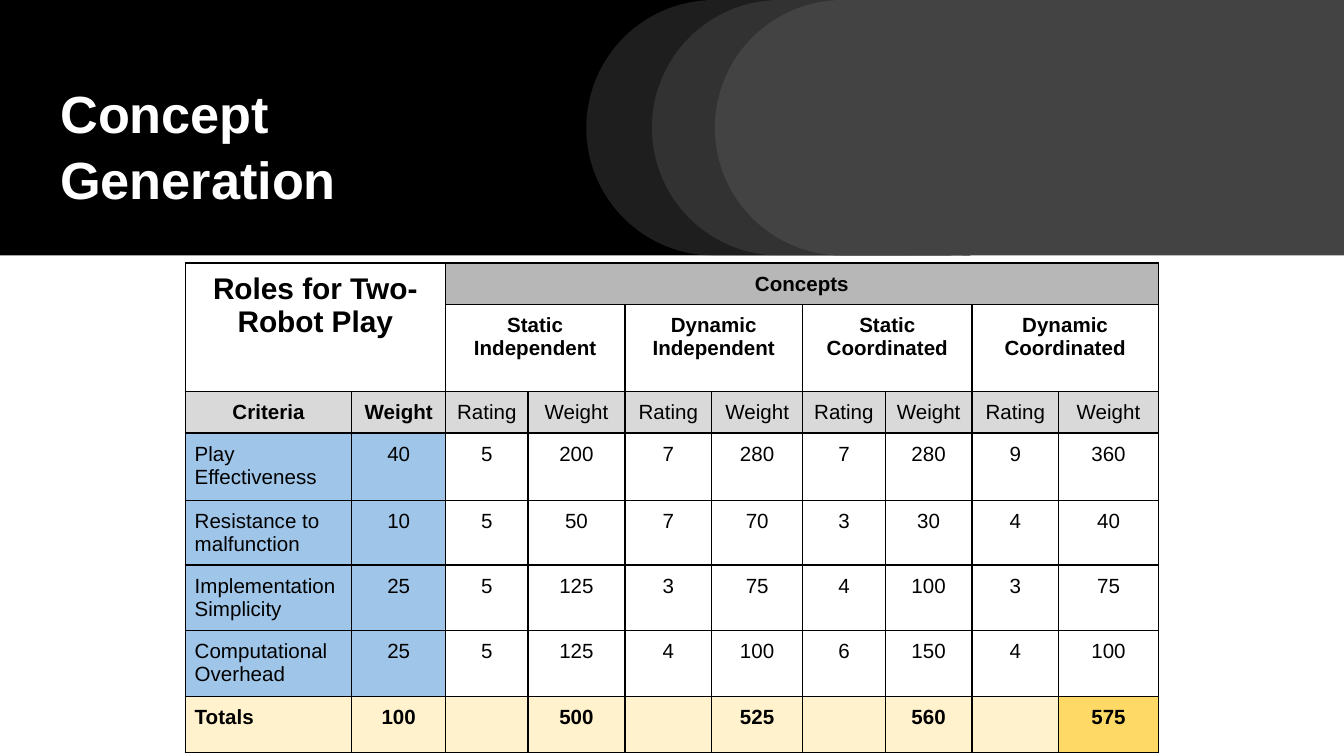
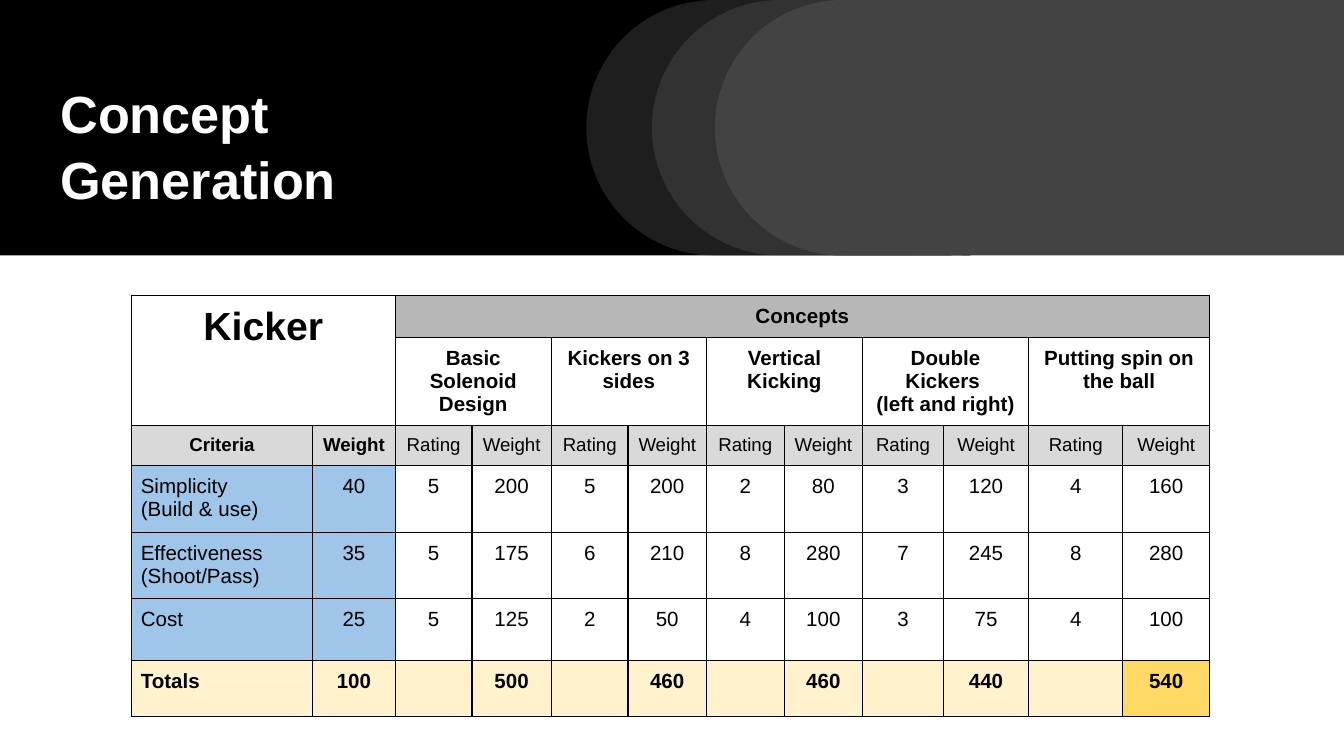
from dataclasses import dataclass

from lxml import etree
from pptx import Presentation
from pptx.dml.color import RGBColor
from pptx.enum.shapes import MSO_SHAPE
from pptx.enum.text import MSO_ANCHOR, MSO_AUTO_SIZE, PP_ALIGN
from pptx.oxml.ns import qn
from pptx.util import Cm, Pt

RECT, DELAY = MSO_SHAPE.RECTANGLE, MSO_SHAPE.FLOWCHART_DELAY
LEFT, CENTER = PP_ALIGN.LEFT, PP_ALIGN.CENTER

# Content: ratings follow the order of the concepts; "\v" is a line break
TITLE = "Concept Generation"
MATRICES = [
    {
        "heading": "Roles for Two-Robot Play",
        "heading_size": 16,
        "label_size": 11,
        "concepts": ["Static Independent", "Dynamic\nIndependent",
                     "Static\nCoordinated", "Dynamic\nCoordinated"],
        "criteria": [
            ("Play Effectiveness", 40, [5, 7, 7, 9]),
            ("Resistance to malfunction", 10, [5, 7, 3, 4]),
            ("Implementation Simplicity", 25, [5, 3, 4, 3]),
            ("Computational Overhead", 25, [5, 4, 6, 4]),
        ],
        "at": (3.5, 4.97),
        "columns": [3.15, 1.77, 1.56, 1.83, 1.64, 1.72, 1.56, 1.64, 1.64, 1.88],
        "rows": [0.78, 1.63, 0.78, 1.27, 1.22, 1.24, 1.24, 1.06],
    },
    {
        "heading": "Kicker",
        "heading_size": 21,
        "label_size": 10,
        "concepts": ["Basic Solenoid\nDesign", "Kickers on 3 sides",
                     "Vertical Kicking", "Double Kickers \v(left and right)",
                     "Putting spin on the ball"],
        "criteria": [
            ("Simplicity \v(Build & use)", 40, [5, 5, 2, 3, 4]),
            ("Effectiveness\v(Shoot/Pass)", 35, [5, 6, 8, 7, 8]),
            ("Cost", 25, [5, 2, 4, 3, 4]),
        ],
        "at": (2.48, 5.59),
        "columns": [3.43, 1.56, 1.45, 1.5, 1.45, 1.48, 1.47, 1.48, 1.53, 1.61,
                    1.78, 1.64],
        "rows": [0.78, 1.64, 0.76, 1.27, 1.25, 1.17, 1.06],
    },
]


@dataclass(frozen=True)
class Theme:
    font: str = "Arial"
    ink: str = "000000"
    paper: str = "FFFFFF"
    band: str = "434343"
    band_light: str = "666666"
    concepts: str = "B7B7B7"
    labels: str = "D9D9D9"
    criteria: str = "9FC5E8"
    totals: str = "FFF2CC"
    best: str = "FFD966"
    title_size: float = 28
    body_size: float = 11
    border: float = 0.75


THEME = Theme()

# Header band: shape, left, width, colour, opacity in percent
BAND_HEIGHT = 4.83
BAND = [
    (RECT, 0, 17.98, THEME.ink, 100),
    (DELAY, 11.08, BAND_HEIGHT, THEME.band, 45),
    (DELAY, 12.32, BAND_HEIGHT, THEME.band_light, 28),
    (DELAY, 13.51, BAND_HEIGHT, THEME.band, 100),
    (RECT, 18.18, 7.22, THEME.band, 100),
]


def apply(target, values):
    for name, value in values.items():
        setattr(target, name, value)


def format_text(frame, align, size, color, bold, spacing=1.0):
    for paragraph in frame.paragraphs:
        apply(paragraph, {"alignment": align, "line_spacing": spacing})
        for run in paragraph.runs:
            apply(run.font, {"name": THEME.font, "size": Pt(size), "bold": bold})
            run.font.color.rgb = RGBColor.from_string(color)


def add_band(layout, slide):
    """Draw the band and place it on the layout, behind its title."""
    for depth, (kind, left, width, color, opacity) in enumerate(BAND):
        part = slide.shapes.add_shape(kind, Cm(left), 0, Cm(width), Cm(BAND_HEIGHT))
        part.rotation = 180 if kind == DELAY else 0
        part.shadow.inherit = False
        part.line.fill.background()
        part.fill.solid()
        part.fill.fore_color.rgb = RGBColor.from_string(color)
        if opacity < 100:
            tint = part.element.spPr.find(f"{qn('a:solidFill')}/{qn('a:srgbClr')}")
            etree.SubElement(tint, qn("a:alpha"), val=str(opacity * 1000))
        layout.shapes.element.insert(2 + depth, part.element)


def add_title(slide):
    title = slide.shapes.title
    apply(title, {"left": Cm(0.89), "top": Cm(0.41),
                  "width": Cm(9.88), "height": Cm(3.81)})
    frame = title.text_frame
    frame.text = TITLE
    margins = dict.fromkeys(
        ("margin_left", "margin_right", "margin_top", "margin_bottom"), Cm(0.25))
    apply(frame, {"word_wrap": True, "auto_size": MSO_AUTO_SIZE.NONE,
                  "vertical_anchor": MSO_ANCHOR.BOTTOM, **margins})
    format_text(frame, LEFT, THEME.title_size, THEME.paper, True, 1.05)


def add_borders(cell):
    properties = cell._tc.get_or_add_tcPr()
    for order, side in enumerate(("lnL", "lnR", "lnT", "lnB")):
        line = etree.Element(qn(f"a:{side}"), w=str(Pt(THEME.border)))
        paint = etree.SubElement(line, qn("a:solidFill"))
        etree.SubElement(paint, qn("a:srgbClr"), val=THEME.ink)
        properties.insert(order, line)


def write(cell, text, fill=None, bold=False, align=CENTER, size=THEME.body_size):
    if fill:
        cell.fill.solid()
        cell.fill.fore_color.rgb = RGBColor.from_string(fill)
    if text != "":
        cell.text = str(text)
        apply(cell, dict.fromkeys(
            ("margin_left", "margin_right", "margin_top", "margin_bottom"), Cm(0.18)))
        format_text(cell.text_frame, align, size, THEME.ink, bold)


def add_matrix(slide, matrix):
    widths, heights = matrix["columns"], matrix["rows"]
    left, top = matrix["at"]
    table = slide.shapes.add_table(
        len(heights), len(widths), Cm(left), Cm(top),
        Cm(sum(widths)), Cm(sum(heights))).table
    apply(table, {"first_row": False, "horz_banding": False})
    for column, width in zip(table.columns, widths):
        column.width = Cm(width)
    for row, height in zip(table.rows, heights):
        row.height = Cm(height)
    for cell in table.iter_cells():
        cell.fill.background()
        add_borders(cell)

    # Headings
    concepts, criteria = matrix["concepts"], matrix["criteria"]
    table.cell(0, 0).merge(table.cell(1, 1))
    write(table.cell(0, 0), matrix["heading"], bold=True, size=matrix["heading_size"])
    table.cell(0, 2).merge(table.cell(0, len(widths) - 1))
    write(table.cell(0, 2), "Concepts", THEME.concepts, bold=True)
    for index, concept in enumerate(concepts):
        column = 2 + 2 * index
        table.cell(1, column).merge(table.cell(1, column + 1))
        write(table.cell(1, column), concept, bold=True)
    labels = ["Criteria", "Weight"] + ["Rating", "Weight"] * len(concepts)
    for column, label in enumerate(labels):
        write(table.cell(2, column), label, THEME.labels, bold=column < 2,
              size=matrix["label_size"])

    # Criteria: each weighted score is weight times rating
    totals = [0] * len(concepts)
    for row, (criterion, weight, ratings) in enumerate(criteria, 3):
        write(table.cell(row, 0), criterion, THEME.criteria, align=LEFT)
        write(table.cell(row, 1), weight, THEME.criteria)
        for index, rating in enumerate(ratings):
            write(table.cell(row, 2 + 2 * index), rating)
            write(table.cell(row, 3 + 2 * index), weight * rating)
            totals[index] += weight * rating

    # Totals, with the best concept marked
    last = len(heights) - 1
    write(table.cell(last, 0), "Totals", THEME.totals, bold=True, align=LEFT)
    write(table.cell(last, 1), sum(weight for _, weight, _ in criteria),
          THEME.totals, bold=True)
    for index, total in enumerate(totals):
        fill = THEME.best if total == max(totals) else THEME.totals
        write(table.cell(last, 2 + 2 * index), "", THEME.totals)
        write(table.cell(last, 3 + 2 * index), total, fill, bold=True)


def main():
    deck = Presentation()
    apply(deck, {"slide_width": Cm(25.4), "slide_height": Cm(14.29)})
    layout = deck.slide_layouts.get_by_name("Title Only")
    for placeholder in list(layout.placeholders)[1:]:
        layout.shapes.element.remove(placeholder.element)
    for number, matrix in enumerate(MATRICES):
        slide = deck.slides.add_slide(layout)
        if number == 0:
            add_band(layout, slide)
        add_title(slide)
        add_matrix(slide, matrix)
    deck.save("out.pptx")


if __name__ == "__main__":
    main()
